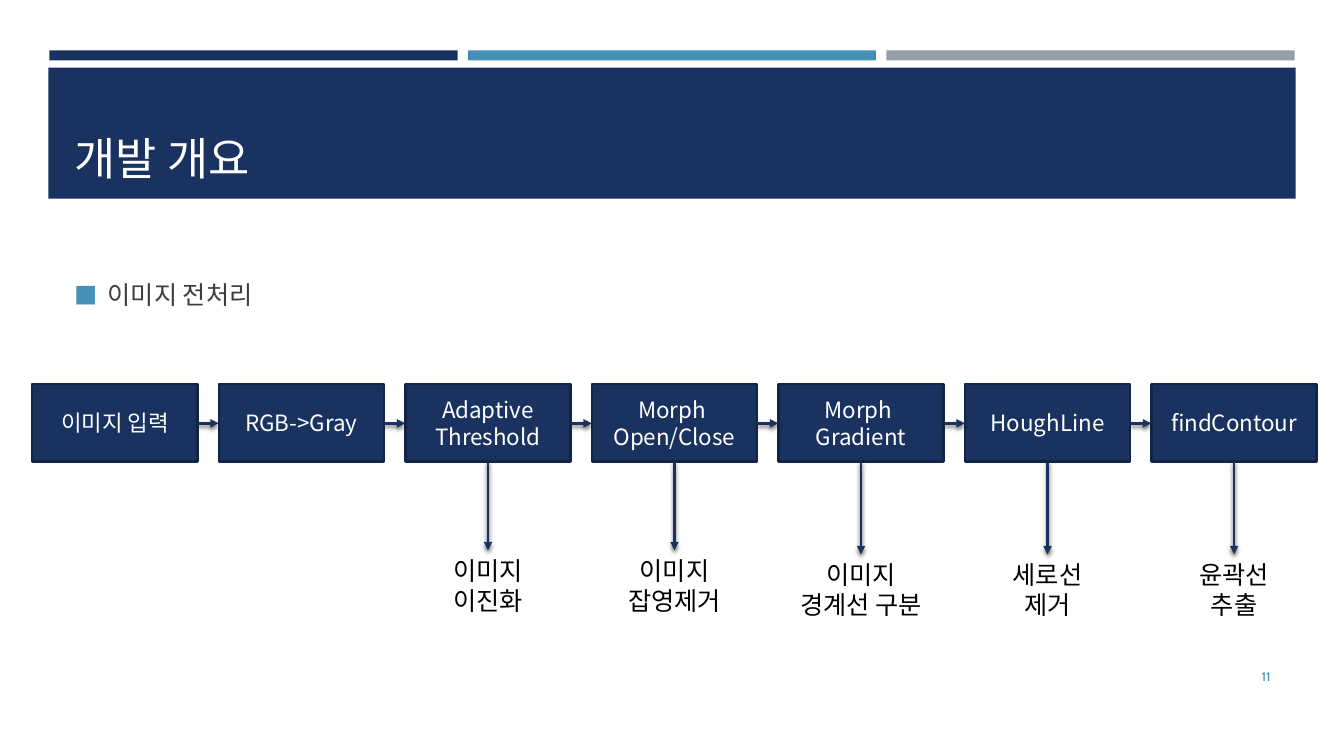
import pptx
import pptx.util
import pptx.dml.color
import pptx.enum.shapes
import pptx.enum.text
import pptx.oxml
import pptx.oxml.ns
from lxml import etree
from pptx.util import Inches

COLORS = {
    "navy": "1A3260",
    "outline": "132547",
    "blue": "4590B8",
    "gray": "969FA7",
    "body": "3D3D3D",
    "black": "000000",
    "white": "FFFFFF",
}
KOREAN_FONT = "Noto Sans CJK KR"
ALIGN = pptx.enum.text.PP_ALIGN
ANCHOR = pptx.enum.text.MSO_ANCHOR

# Step text, explanation below it, and top of the explanation
STEPS = [
    ("이미지 입력", None, None),
    ("RGB->Gray", None, None),
    ("Adaptive\nThreshold", "이미지\n이진화", 5.46),
    ("Morph \nOpen/Close", "이미지\n잡영제거", 5.46),
    ("Morph \nGradient", "이미지\n경계선 구분", 5.5),
    ("HoughLine", "세로선\n제거", 5.5),
    ("findContour", "윤곽선\n추출", 5.5),
]
STEP_LEFT, STEP_TOP, STEP_PITCH = 0.32, 3.81, 1.85
STEP_WIDTH, STEP_HEIGHT = 1.64, 0.77


def rgb(color):
    return pptx.dml.color.RGBColor.from_string(COLORS[color])


def write(shape, text, size=18, color="black", font=KOREAN_FONT,
          align=ALIGN.CENTER, anchor=ANCHOR.MIDDLE):
    """Fill a shape with text, one paragraph for each line."""
    frame = shape.text_frame
    frame.word_wrap = True
    frame.auto_size = pptx.enum.text.MSO_AUTO_SIZE.NONE
    frame.vertical_anchor = anchor
    frame.text = text
    for paragraph in frame.paragraphs:
        paragraph.alignment = align
        for run in paragraph.runs:
            run.font.size = pptx.util.Pt(size)
            run.font.name = font
            run.font.color.rgb = rgb(color)
            east_asian = etree.SubElement(run.font._element, pptx.oxml.ns.qn("a:ea"))
            east_asian.set("typeface", font)


def add_text(slide, box, text, **style):
    label = slide.shapes.add_textbox(*map(Inches, box))
    write(label, text, **style)
    return label


def add_block(slide, box, fill, outline=None):
    block = slide.shapes.add_shape(
        pptx.enum.shapes.MSO_SHAPE.RECTANGLE, *map(Inches, box))
    block.shadow.inherit = False
    block.fill.solid()
    block.fill.fore_color.rgb = rgb(fill)
    if outline:
        block.line.color.rgb = rgb(outline)
        block.line.width = pptx.util.Pt(1.75)
    else:
        block.line.fill.background()
    return block


def add_arrow(slide, start, end):
    arrow = slide.shapes.add_connector(
        pptx.enum.shapes.MSO_CONNECTOR.STRAIGHT, *map(Inches, start + end))
    arrow.line.color.rgb = rgb("navy")
    arrow.line.width = pptx.util.Pt(2)
    head = etree.SubElement(arrow.line._get_or_add_ln(), pptx.oxml.ns.qn("a:tailEnd"))
    head.set("type", "triangle")
    arrow._element.spPr.append(pptx.oxml.parse_xml(
        f'<a:effectLst {pptx.oxml.ns.nsdecls("a")}>'
        '<a:outerShdw blurRad="38100" dist="25400" dir="5400000" rotWithShape="0">'
        f'<a:srgbClr val="{COLORS["black"]}"><a:alpha val="55000"/></a:srgbClr>'
        '</a:outerShdw></a:effectLst>'))


def add_bullet(paragraph):
    properties = paragraph._p.get_or_add_pPr()
    properties.set("marL", str(Inches(0.33)))
    properties.set("indent", str(-Inches(0.33)))
    for markup in (
        f'<a:buClr {{}}><a:srgbClr val="{COLORS["blue"]}"/></a:buClr>',
        '<a:buSzPct {} val="92000"/>',
        f'<a:buFont {{}} typeface="{KOREAN_FONT}"/>',
        '<a:buChar {} char="■"/>',
    ):
        properties.append(pptx.oxml.parse_xml(
            markup.format(pptx.oxml.ns.nsdecls("a"))))


def add_header(slide):
    for index, color in enumerate(("navy", "blue", "gray")):
        add_block(slide, (0.49 + 4.15 * index, 0.5, 4.05, 0.1), color)
    add_block(slide, (0.48, 0.67, 12.37, 1.3), "navy")

    title = slide.shapes.title
    title.left, title.top = Inches(0.64), Inches(0.77)
    title.width, title.height = Inches(12.06), Inches(1.11)
    write(title, "개발 개요", size=32, color="white",
          align=ALIGN.LEFT, anchor=ANCHOR.BOTTOM)
    # The title placeholder comes first, so bring it in front of the band
    slide.shapes._spTree.append(title._element)


def add_pipeline(slide):
    arrow_y = STEP_TOP + 0.39
    bottom = STEP_TOP + STEP_HEIGHT
    for index, (step, explanation, explanation_top) in enumerate(STEPS):
        left = STEP_LEFT + STEP_PITCH * index
        center = left + STEP_WIDTH / 2
        block = add_block(slide, (left, STEP_TOP, STEP_WIDTH, STEP_HEIGHT),
                          "navy", outline="outline")
        write(block, step, size=16, color="white")
        if index:
            add_arrow(slide, (left - STEP_PITCH + STEP_WIDTH, arrow_y), (left, arrow_y))
        if explanation:
            add_text(slide, (left, explanation_top, STEP_WIDTH, 0.71),
                     explanation, anchor=ANCHOR.TOP)
            add_arrow(slide, (center, bottom), (center, explanation_top))


def main():
    deck = pptx.Presentation()
    deck.slide_width, deck.slide_height = Inches(13.33), Inches(7.5)
    slide = deck.slides.add_slide(deck.slide_layouts[5])
    add_header(slide)
    topic = add_text(slide, (0.64, 2.67, 12.06, 0.5), "이미지 전처리",
                     color="body", align=ALIGN.LEFT)
    add_bullet(topic.text_frame.paragraphs[0])
    add_pipeline(slide)
    add_text(slide, (11.55, 6.51, 1.15, 0.4), "11", size=9, color="blue",
             font="Cabin", align=ALIGN.RIGHT)
    deck.save("out.pptx")


if __name__ == "__main__":
    main()
